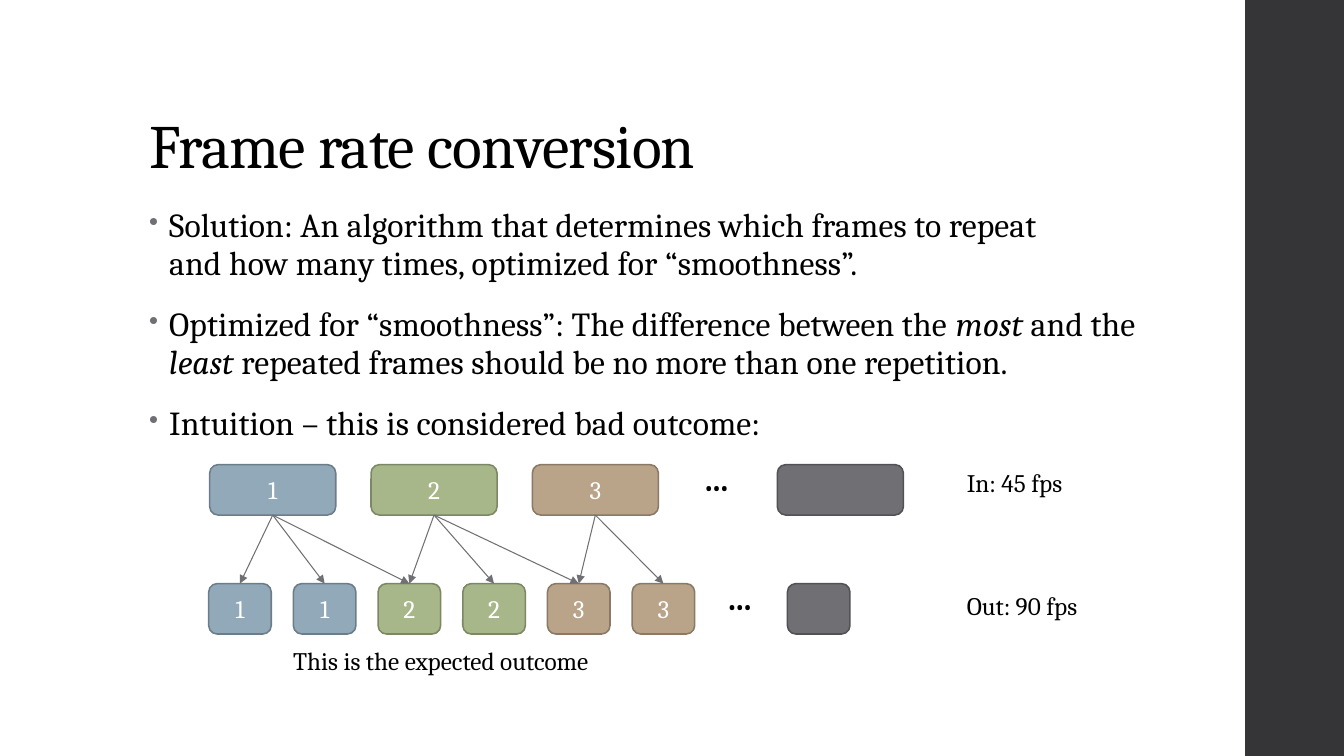
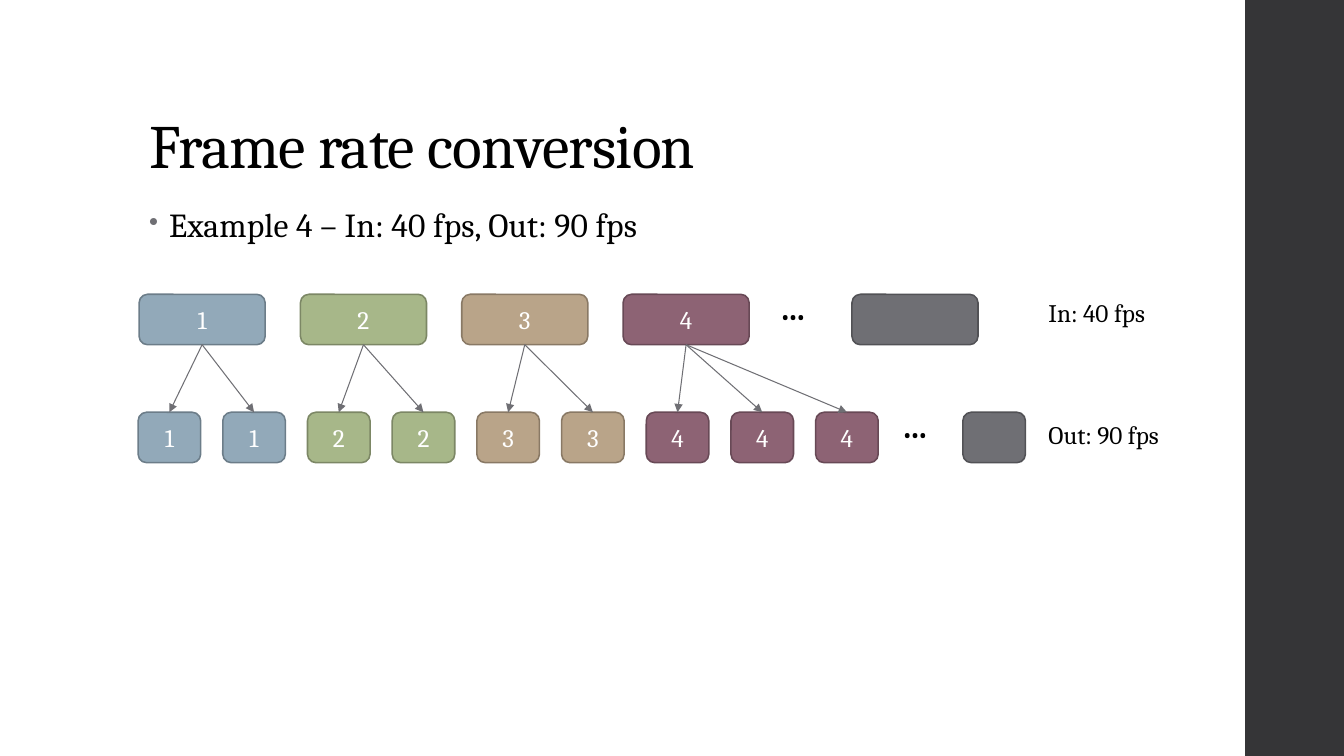
import pptx
import pptx.dml.color
import pptx.enum.shapes
import pptx.enum.text
import pptx.util
from lxml import etree
from pptx.oxml.ns import qn

PX = 9144  # EMU per px, 100 px to the inch
FONT = "Cambria"
COLORS = {
    "text": "000000", "light": "FFFFFF", "sidebar": "353537", "gray": "6F6F74",
}
# Fill and outline of each numbered frame; None is the unnumbered last frame
FRAME_COLORS = {
    1: ("92A9B9", "6C7D89"),
    2: ("A7B789", "7C8765"),
    3: ("B9A489", "897965"),
    4: ("8D6374", "684956"),
    None: ("6F6F74", "525256"),
}
SHAPES = pptx.enum.shapes.MSO_SHAPE
ALIGN = pptx.enum.text.PP_ALIGN
ANCHOR = pptx.enum.text.MSO_ANCHOR
rgb = pptx.dml.color.RGBColor.from_string


def write(frame, text, size=18, color="text", bold=False, align=ALIGN.LEFT,
          anchor=ANCHOR.TOP, line_spacing=1.0, tracking=0, bullets=False):
    """Fill a text frame; a list gives paragraphs, *asterisks* give italics."""
    frame.word_wrap = True
    frame.vertical_anchor = anchor
    for index, content in enumerate([text] if isinstance(text, str) else text):
        paragraph = frame.add_paragraph() if index else frame.paragraphs[0]
        paragraph.alignment = align
        paragraph.line_spacing = line_spacing
        if bullets:
            props = paragraph._p.get_or_add_pPr()
            props.set("marL", str(20 * PX))
            props.set("indent", str(-20 * PX))
            bullet_color = etree.SubElement(props, qn("a:buClr"))
            etree.SubElement(bullet_color, qn("a:srgbClr"), val=COLORS["gray"])
            etree.SubElement(props, qn("a:buSzPct"), val="80000")
            etree.SubElement(props, qn("a:buChar"), char="•")
            paragraph.space_after = pptx.util.Pt(2)
            if index:
                paragraph.space_before = pptx.util.Pt(14)
        for part, words in enumerate(content.split("*")):
            for number, line in enumerate(words.split("\n")):
                if number:
                    paragraph.add_line_break()
                run = paragraph.add_run()
                run.text = line
                run.font.name = FONT
                run.font.size = pptx.util.Pt(size)
                run.font.bold = bold
                run.font.italic = part % 2 == 1
                run.font.color.rgb = rgb(COLORS[color])
                if tracking:
                    run._r.get_or_add_rPr().set("spc", str(tracking))


def add_box(slide, preset, left, top, width, height, fill, outline=None):
    box = slide.shapes.add_shape(preset, left * PX, top * PX, width * PX, height * PX)
    box.shadow.inherit = False
    box.fill.solid()
    box.fill.fore_color.rgb = rgb(fill)
    if outline:
        box.line.color.rgb = rgb(outline)
        box.line.width = pptx.util.Pt(1.1)
    else:
        box.line.fill.background()
    return box


# Content: "links" maps each input frame to the output positions it feeds
SLIDES = [
    {
        "points": [
            "Solution: An algorithm that determines which frames to repeat\n"
            "and how many times, optimized for “smoothness”.",
            "Optimized for “smoothness”: The difference between the *most* and the "
            "*least *repeated frames should be no more than one repetition.",
            "Intuition – this is considered bad outcome:",
        ],
        "points_width": 1060,
        "input": {"frames": [1, 2, 3], "left": 208, "top": 461, "dots": 688,
                  "last": 771, "label": "In: 45 fps"},
        "output": {"frames": [1, 1, 2, 2, 3, 3], "left": 207, "top": 579, "dots": 711,
                   "last": 781, "label": "Out: 90 fps"},
        "label_left": 949,
        "links": {1: [0, 1, 2], 2: [2, 3, 4], 3: [4, 5]},
        "remark": "This is the expected outcome",
    },
    {
        "points": ["Example 4 – In: 40 fps, Out: 90 fps"],
        "points_width": 1022,
        "input": {"frames": [1, 2, 3, 4], "left": 138, "top": 292, "dots": 764,
                  "last": 845, "label": "In: 40 fps"},
        "output": {"frames": [1, 1, 2, 2, 3, 3, 4, 4, 4], "left": 137, "top": 409,
                   "dots": 885, "last": 955, "label": "Out: 90 fps"},
        "label_left": 1030,
        "links": {1: [0, 1], 2: [2, 3], 3: [4, 5], 4: [6, 7, 8]},
        "remark": None,
    },
]
# Frame width, distance between frames, label offset from the row's top
ROWS = {"input": (125, 160, -2), "output": (62, 84, 2)}

deck = pptx.Presentation()
deck.slide_width = 1333 * PX
deck.slide_height = 750 * PX

for content in SLIDES:
    slide = deck.slides.add_slide(deck.slide_layouts[6])

    # Sidebar, title and points
    add_box(slide, SHAPES.RECTANGLE, 1235, 0, 98, 750, COLORS["sidebar"])
    title = slide.shapes.add_textbox(138 * PX, 40 * PX, 1060 * PX, 145 * PX)
    write(title.text_frame, "Frame rate conversion", size=44, anchor=ANCHOR.BOTTOM,
          line_spacing=0.9, tracking=-50)
    points = slide.shapes.add_textbox(138 * PX, 200 * PX,
                                      content["points_width"] * PX, 476 * PX)
    write(points.text_frame, content["points"], size=24, line_spacing=0.95,
          tracking=10, bullets=True)

    # Rows of input and output frames
    frames = {}
    for row_name, (width, step, label_offset) in ROWS.items():
        row = content[row_name]
        lefts = [row["left"] + step * i for i in range(len(row["frames"]))]
        frames[row_name] = []
        for number, left in zip(row["frames"] + [None], lefts + [row["last"]]):
            frame = add_box(slide, SHAPES.ROUNDED_RECTANGLE, left, row["top"],
                            width, 50, *FRAME_COLORS[number])
            if number:
                write(frame.text_frame, str(number), color="light",
                      align=ALIGN.CENTER, anchor=ANCHOR.MIDDLE)
            frames[row_name].append(frame)
        dots = slide.shapes.add_textbox(row["dots"] * PX, (row["top"] - 12) * PX,
                                        48 * PX, 50 * PX)
        write(dots.text_frame, "…", size=24, bold=True)
        label = slide.shapes.add_textbox(content["label_left"] * PX,
                                         (row["top"] + label_offset) * PX,
                                         165 * PX, 40 * PX)
        write(label.text_frame, row["label"])

    # Arrows from each input frame to its repetitions
    for number, targets in content["links"].items():
        for target in targets:
            arrow = slide.shapes.add_connector(
                pptx.enum.shapes.MSO_CONNECTOR.STRAIGHT, 0, 0, 0, 0)
            arrow.begin_connect(frames["input"][number - 1], 2)
            arrow.end_connect(frames["output"][target], 0)
            arrow.line.color.rgb = rgb(COLORS["gray"])
            arrow.line.width = pptx.util.Pt(0.75)
            etree.SubElement(arrow.line._get_or_add_ln(), qn("a:tailEnd"), type="triangle")
            etree.SubElement(arrow._element.spPr, qn("a:effectLst"))

    # Remark under the diagram
    if content["remark"]:
        remark = slide.shapes.add_textbox(281 * PX, 635 * PX, 604 * PX, 40 * PX)
        write(remark.text_frame, content["remark"])

deck.save("out.pptx")
